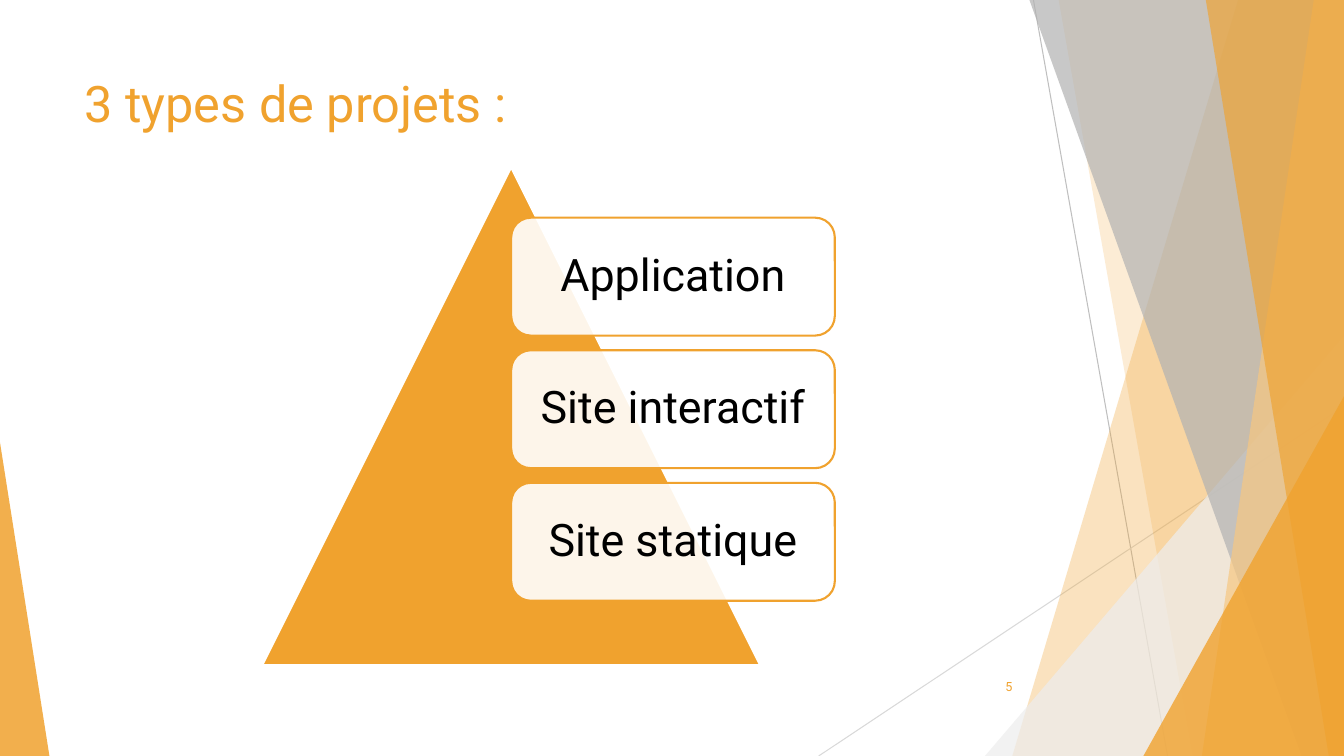
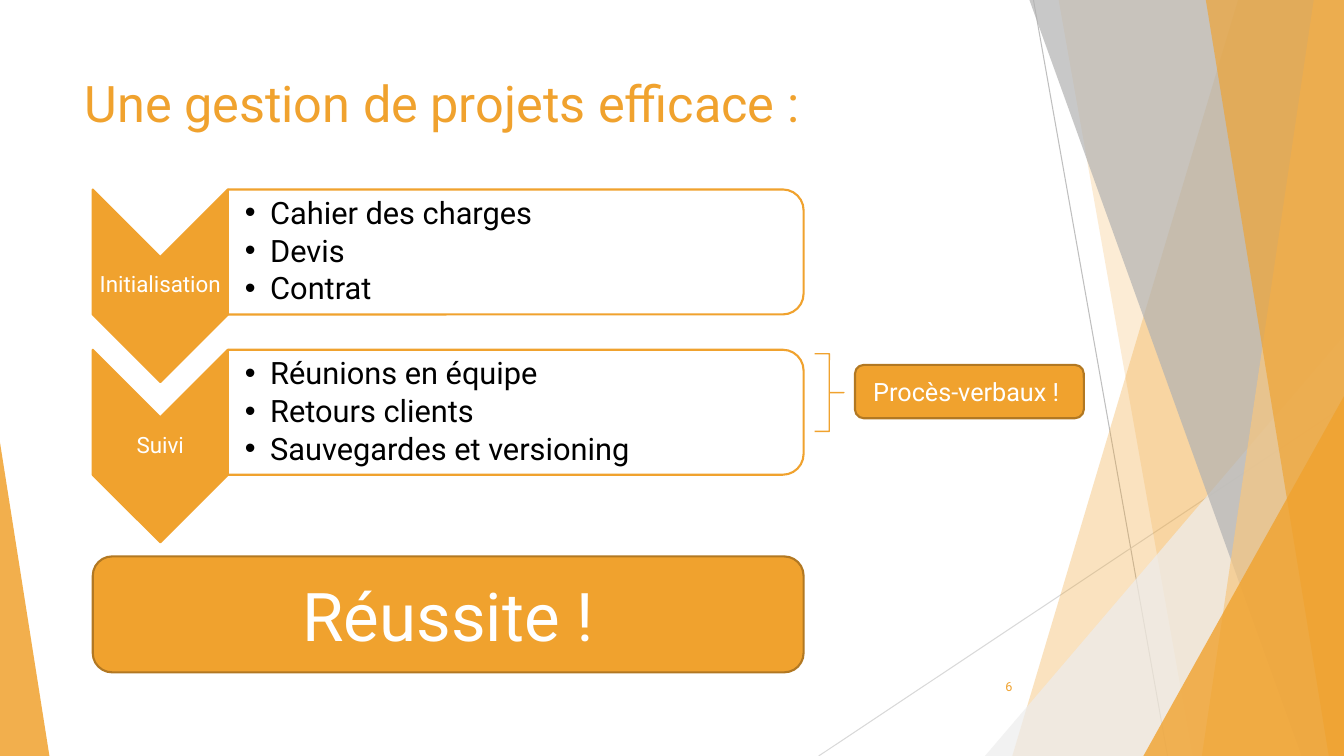
import dataclasses
import typing

import lxml.etree
import pptx
import pptx.dml.fill
import pptx.enum.shapes
import pptx.enum.text
import pptx.oxml.ns
import pptx.shapes.autoshape
import pptx.shapes.base
import pptx.slide
import pptx.util

Inches = pptx.util.Inches
Pt = pptx.util.Pt
qn = pptx.oxml.ns.qn
Kind = pptx.enum.shapes.MSO_SHAPE
Align = pptx.enum.text.PP_ALIGN
Anchor = pptx.enum.text.MSO_ANCHOR
Slide = pptx.slide.Slide
Shape = pptx.shapes.autoshape.Shape

WIDE, HIGH = 13.33, 7.5
FONT = "Roboto"
ORANGE, BROWN, WHITE, BLACK = "F0A22E", "B27822", "FFFFFF", "000000"


class Box(typing.NamedTuple):
    left: float
    top: float
    width: float
    height: float

    def turned(self) -> "Box":
        """Frame that covers this box once rotated by 90 degrees."""
        shift = (self.width - self.height) / 2
        return Box(self.left + shift, self.top - shift, self.height, self.width)

    def lengths(self) -> list[pptx.util.Length]:
        return [Inches(value) for value in self]


@dataclasses.dataclass(frozen=True)
class Ray:
    start: tuple[float, float]
    end: tuple[float, float]
    color: str


@dataclasses.dataclass(frozen=True)
class Band:
    """Area from a slanted left edge to the right side of the slide."""
    top: float
    bottom: float
    color: str
    alpha: int


@dataclasses.dataclass(frozen=True)
class Wedge:
    box: Box
    peak: float
    alpha: int
    color: str = ORANGE


@dataclasses.dataclass(frozen=True)
class Stage:
    name: str
    items: tuple[str, ...]


RAYS = (
    Ray((10.25, 0), (11.58, HIGH), "BFBFBF"),
    Ray((WIDE, 4.03), (8.12, HIGH), "D9D9D9"),
)
DECOR = (
    Band(12.28, 10.04, ORANGE, 30),
    Band(10.5, 11.83, ORANGE, 20),
    Wedge(Box(9.77, 3.33, 3.56, 4.17), 1, 72, "EDEDED"),
    Band(10.21, 12.91, "B2B2B2", 70),
    Band(13.03, 11.92, "F6C782", 70),
    Band(11.96, 13.18, ORANGE, 65),
    Wedge(Box(11.34, 3.93, 1.99, 3.57), 1, 80),
    Wedge(Box(0, 4.39, 0.49, 3.11), 0, 85),
)
TYPES = ("Application", "Site interactif", "Site statique")
STAGES = (
    Stage("Initialisation", ("Cahier des charges", "Devis", "Contrat")),
    Stage("Suivi", ("Réunions en équipe", "Retours clients",
                    "Sauvegardes et versioning")),
)


def paint(fill: pptx.dml.fill.FillFormat, color: str) -> None:
    fill.solid()
    fill.fore_color.rgb = pptx.dml.color.RGBColor.from_string(color)


def style(shape: Shape, fill: str | None = None, alpha: int = 100,
          line: str | None = None, weight: float = 1.5) -> Shape:
    shape.shadow.inherit = False
    if fill:
        paint(shape.fill, fill)
        if alpha < 100:
            color = shape.element.spPr.find(qn("a:solidFill"))[0]
            lxml.etree.SubElement(color, qn("a:alpha"), val=str(alpha * 1000))
    else:
        shape.fill.background()
    if line:
        paint(shape.line.fill, line)
        shape.line.width = Pt(weight)
    else:
        shape.line.fill.background()
    return shape


def draw(slide: Slide, kind: Kind, box: Box, turn: bool = False,
         **look: typing.Any) -> Shape:
    frame = box.turned() if turn else box
    shape = slide.shapes.add_shape(kind, *frame.lengths())
    shape.rotation = 90 if turn else 0
    return style(shape, **look)


def write(shape: pptx.shapes.base.BaseShape, text: str, *, size: float,
          color: str, align: Align = Align.LEFT, anchor: Anchor = Anchor.MIDDLE,
          inset: tuple[float, float, float, float] = (0.1, 0.05, 0.1, 0.05),
          space: float = 1, after: float = 0, bullet: bool = False) -> None:
    """Put each line of the text in a paragraph; inset is left, top, right, bottom."""
    frame = shape.text_frame
    frame.word_wrap = True
    frame.vertical_anchor = anchor
    (frame.margin_left, frame.margin_top,
     frame.margin_right, frame.margin_bottom) = map(Inches, inset)
    frame.text = text
    for para in frame.paragraphs:
        para.alignment = align
        para.line_spacing = space
        para.space_after = Pt(after)
        font = para.runs[0].font
        font.name, font.size = FONT, Pt(size)
        paint(font.fill, color)
        if bullet:
            props = para._p.get_or_add_pPr()
            props.set("marL", str(Inches(0.25)))
            props.set("indent", str(Inches(-0.25)))
            lxml.etree.SubElement(props, qn("a:buFont"), typeface="Arial")
            lxml.etree.SubElement(props, qn("a:buChar"), char="•")


def label(slide: Slide, box: Box, text: str, **form: typing.Any) -> None:
    write(slide.shapes.add_textbox(*box.lengths()), text, **form)


def add_ray(slide: Slide, ray: Ray) -> None:
    ends = [Inches(value) for value in ray.start + ray.end]
    line = slide.shapes.add_connector(
        pptx.enum.shapes.MSO_CONNECTOR.STRAIGHT, *ends)
    paint(line.line.fill, ray.color)
    line.line.width = Pt(0.75)
    lxml.etree.SubElement(line.element.spPr, qn("a:effectLst"))


def add_band(slide: Slide, band: Band) -> None:
    spots = [(band.top, 0), (WIDE, 0), (WIDE, HIGH), (band.bottom, HIGH)]
    points = [(Inches(x), Inches(y)) for x, y in spots]
    path = slide.shapes.build_freeform(*points[0])
    path.add_line_segments(points[1:])
    style(path.convert_to_shape(), fill=band.color, alpha=band.alpha)


def add_wedge(slide: Slide, wedge: Wedge) -> None:
    shape = draw(slide, Kind.ISOSCELES_TRIANGLE, wedge.box,
                 fill=wedge.color, alpha=wedge.alpha)
    shape.adjustments[0] = wedge.peak


def add_slide(deck: typing.Any, title: str, number: int) -> Slide:
    slide = deck.slides.add_slide(deck.slide_layouts[6])
    for ray in RAYS:
        add_ray(slide, ray)
    for part in DECOR:
        if isinstance(part, Band):
            add_band(slide, part)
        else:
            add_wedge(slide, part)
    label(slide, Box(0.74, 0.67, 9.4, 1.44), title,
          size=36, color=ORANGE, anchor=Anchor.TOP)
    label(slide, Box(9.39, 6.61, 0.75, 0.4), str(number),
          size=9, color=ORANGE, align=Align.RIGHT)
    return slide


def add_types(slide: Slide) -> None:
    draw(slide, Kind.ISOSCELES_TRIANGLE, Box(2.6, 1.66, 4.94, 4.94),
         fill=ORANGE, line=WHITE)
    for row, name in enumerate(TYPES):
        card = draw(slide, Kind.ROUNDED_RECTANGLE,
                    Box(5.07, 2.16 + row * 1.315, 3.21, 1.17),
                    fill=WHITE, alpha=90, line=ORANGE)
        write(card, name, size=32, color=BLACK, align=Align.CENTER, space=0.9)


def add_stage(slide: Slide, stage: Stage, top: float) -> None:
    draw(slide, Kind.CHEVRON, Box(0.92, top, 1.34, 1.91), turn=True,
         fill=ORANGE, line=ORANGE)
    label(slide, Box(0.92, top + 0.67, 1.34, 0.57), stage.name, size=16,
          color=WHITE, align=Align.CENTER, inset=(0.01,) * 4, space=0.9)
    draw(slide, Kind.ROUND_2_SAME_RECTANGLE, Box(2.26, top, 5.71, 1.24),
         turn=True, fill=WHITE, alpha=90, line=ORANGE)
    label(slide, Box(2.26, top + 0.06, 5.65, 1.12), "\n".join(stage.items),
          size=22, color=BLACK, inset=(0.17, 0.02, 0.02, 0.02),
          space=0.9, after=3.3, bullet=True)


def add_steps(slide: Slide) -> None:
    for row, stage in enumerate(STAGES):
        add_stage(slide, stage, 1.88 + row * 1.59)
    brace = draw(slide, Kind.RIGHT_BRACE, Box(8.08, 3.51, 0.29, 0.77),
                 line=ORANGE, weight=1)
    brace.adjustments[0] = 0
    for text, size, box in (
        ("Procès-verbaux ! ", 18, Box(8.48, 3.62, 2.27, 0.53)),
        ("Réussite !", 48, Box(0.92, 5.52, 7.05, 1.15)),
    ):
        panel = draw(slide, Kind.ROUNDED_RECTANGLE, box, fill=ORANGE, line=BROWN)
        write(panel, text, size=size, color=WHITE, align=Align.CENTER)


def main() -> None:
    deck = pptx.Presentation()
    deck.slide_width, deck.slide_height = Inches(WIDE), Inches(HIGH)
    add_types(add_slide(deck, "3 types de projets :", 5))
    add_steps(add_slide(deck, "Une gestion de projets efficace :", 6))
    deck.save("out.pptx")


if __name__ == "__main__":
    main()
